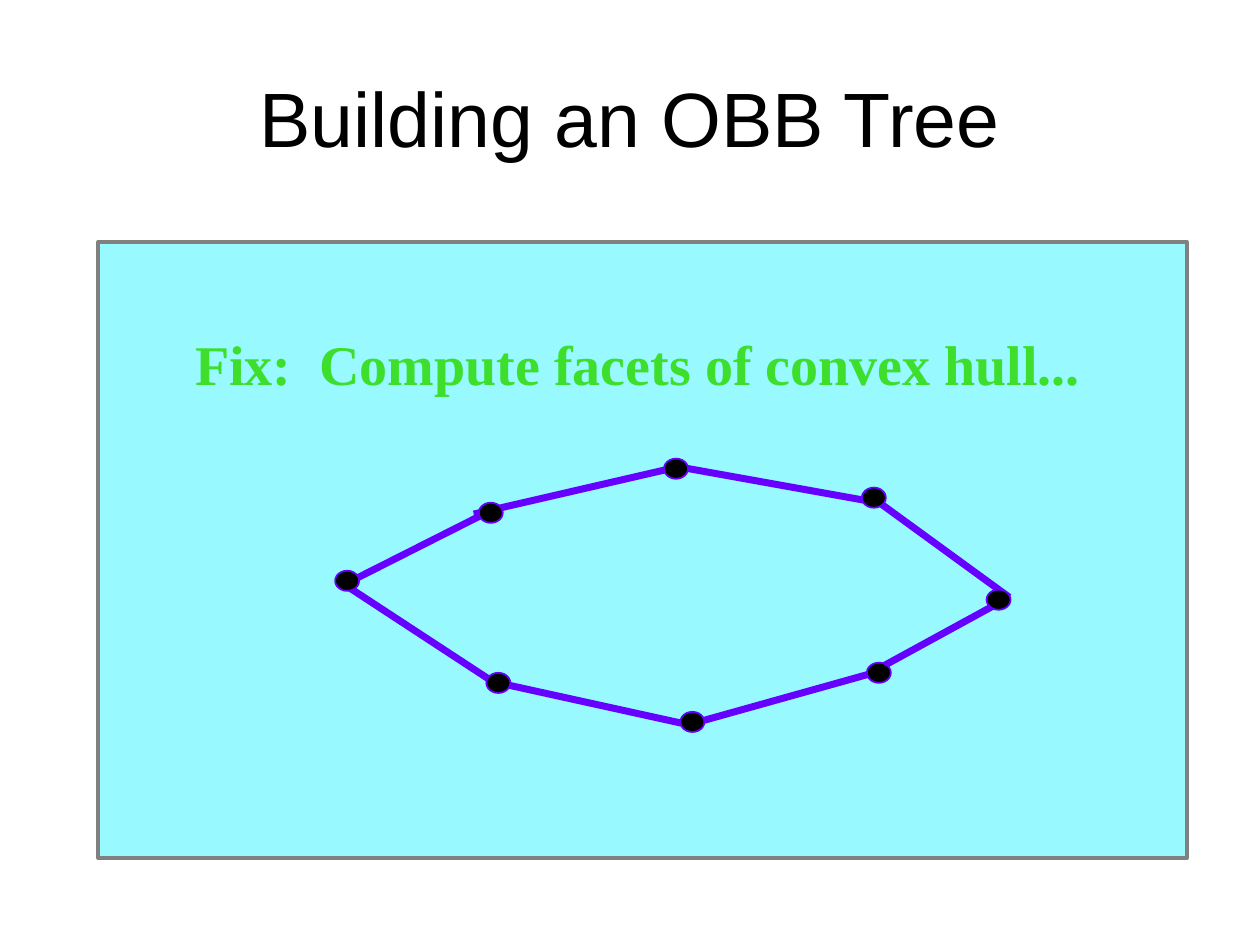
"""Build the slide on computing the convex hull for an OBB tree."""
from dataclasses import dataclass

from lxml.etree import SubElement
from pptx import Presentation
from pptx.dml.color import RGBColor as Color
from pptx.enum.shapes import MSO_CONNECTOR as Connector, MSO_SHAPE as Shape
from pptx.enum.text import MSO_ANCHOR as Anchor, MSO_AUTO_SIZE as AutoSize, PP_ALIGN as Align
from pptx.oxml.ns import qn
from pptx.util import Pt

EMU_PER_PX = 9144


@dataclass(frozen=True)
class Theme:
    """Colours, fonts and sizes of the slide."""
    ink: str = "000000"
    panel: str = "98FAFF"
    frame: str = "808080"
    hull: str = "6600FF"
    caption: str = "3DDE2C"
    title_font: str = "Arial"
    caption_font: str = "Times New Roman"
    title_size: int = 44
    caption_size: int = 32
    frame_width: int = 2
    edge_width: int = 4
    dot_line: int = 1


HULL_EDGES = [
    ((279, 461), (384, 408)),
    ((391, 541), (541, 574)),
    ((376, 408), (532, 372)),
    ((272, 463), (388, 539)),
    ((547, 575), (697, 533)),
    ((530, 369), (697, 399)),
    ((693, 533), (801, 474)),
    ((687, 391), (801, 474)),
]
HULL_POINTS = [(783, 468), (688, 526), (684, 387), (527, 364),
               (540, 565), (386, 534), (380, 399), (266, 453)]
DOT_SIZE = (19, 16)


def px(*lengths):
    """Turn px lengths into EMU."""
    return [length * EMU_PER_PX for length in lengths]


def write(frame, text, *, font, size, color, bold=False, align=Align.LEFT,
          anchor=Anchor.TOP, wrap=True):
    """Put one formatted paragraph into a text frame."""
    frame.auto_size = AutoSize.NONE
    frame.word_wrap = wrap
    frame.vertical_anchor = anchor
    frame.margin_left, frame.margin_top, frame.margin_right, frame.margin_bottom = px(10, 5, 10, 5)
    para = frame.paragraphs[0]
    para.alignment = align
    span = para.add_run()
    span.text = text
    span.font.name = font
    span.font.size = Pt(size)
    span.font.bold = bold
    span.font.color.rgb = Color.from_string(color)


class Painter:
    """Holds the theme and the current page."""

    def __init__(self, page, theme):
        """Keep the page and the theme."""
        self.page = page
        self.theme = theme

    def title(self, text, at):
        """Place and fill the title placeholder."""
        box = self.page.shapes.title
        box.left, box.top, box.width, box.height = px(*at)
        write(box.text_frame, text, font=self.theme.title_font, size=self.theme.title_size,
              color=self.theme.ink, align=Align.CENTER, anchor=Anchor.MIDDLE)

    def caption(self, text, at):
        """Add the bold caption."""
        box = self.page.shapes.add_textbox(*px(*at))
        write(box.text_frame, text, font=self.theme.caption_font, size=self.theme.caption_size,
              color=self.theme.caption, bold=True, anchor=Anchor.BOTTOM, wrap=False)

    def shape(self, kind, at, fill, line, width):
        """Add a filled and outlined preset shape."""
        shape = self.page.shapes.add_shape(kind, *px(*at))
        shape.shadow.inherit = False
        shape.fill.solid()
        shape.fill.fore_color.rgb = Color.from_string(fill)
        shape.line.color.rgb = Color.from_string(line)
        shape.line.width = Pt(width)

    def panel(self, at):
        """Add the framed background panel."""
        self.shape(Shape.RECTANGLE, at, self.theme.panel, self.theme.frame, self.theme.frame_width)

    def dot(self, corner):
        """Add a hull point by its top left corner."""
        self.shape(Shape.OVAL, corner + DOT_SIZE, self.theme.ink, self.theme.hull,
                   self.theme.dot_line)

    def edge(self, start, end):
        """Add a hull edge."""
        edge = self.page.shapes.add_connector(Connector.STRAIGHT, *px(*start, *end))
        edge.line.color.rgb = Color.from_string(self.theme.hull)
        edge.line.width = Pt(self.theme.edge_width)
        SubElement(edge.line._get_or_add_ln().getparent(), qn("a:effectLst"))


def main():
    """Build and save the deck."""
    deck = Presentation()
    deck.slide_width, deck.slide_height = px(1000, 750)
    painter = Painter(deck.slides.add_slide(deck.slide_layouts[5]), Theme())
    painter.title("Building an OBB Tree", (50, 30, 900, 125))
    painter.panel((78, 192, 864, 489))
    painter.caption("Fix:  Compute facets of convex hull...", (145, 257, 724, 63))
    for start, end in HULL_EDGES:
        painter.edge(start, end)
    for corner in HULL_POINTS:
        painter.dot(corner)
    deck.save("out.pptx")


if __name__ == "__main__":
    main()
